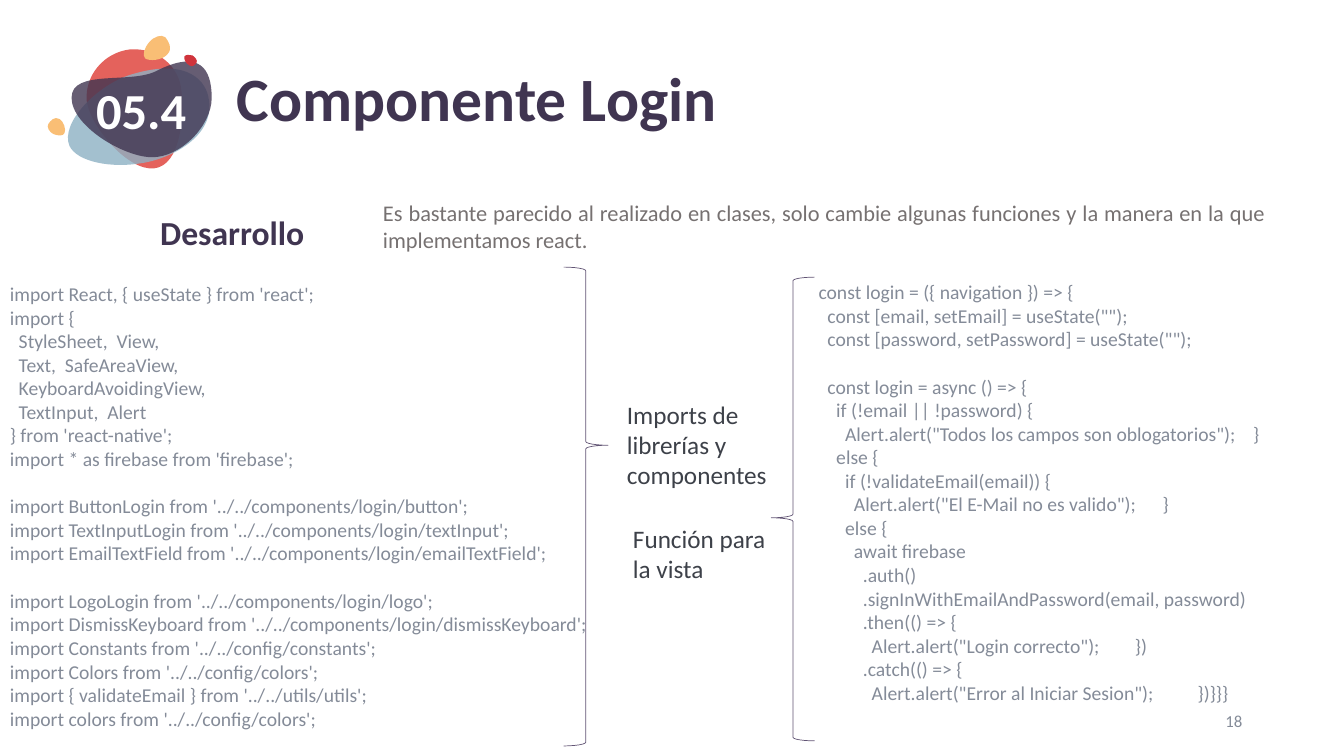
from dataclasses import dataclass

from lxml.etree import SubElement
from pptx import Presentation
from pptx.dml.color import RGBColor
from pptx.enum.shapes import MSO_SHAPE
from pptx.enum.text import MSO_ANCHOR, MSO_AUTO_SIZE, PP_ALIGN
from pptx.oxml.ns import qn
from pptx.util import Inches, Pt


@dataclass(frozen=True)
class Theme:
    font: str = "Calibri"
    plum: str = "403551"
    coral: str = "E4625C"
    sky: str = "8DB1C4"
    amber: str = "F9BE75"
    red: str = "D0343C"
    white: str = "FFFFFF"
    code: str = "848B98"
    label: str = "3D4149"
    summary: str = "767171"
    brace: str = "615474"
    title_size: int = 44
    badge_size: int = 36
    heading_size: int = 24
    label_size: int = 18
    summary_size: int = 16
    code_size: int = 14
    page_size: int = 12


THEME = Theme()


def write(shape, lines, size, color, bold=False, align=PP_ALIGN.LEFT, anchor=MSO_ANCHOR.TOP):
    """Fill a shape with one paragraph per line; an empty line becomes space before the next."""
    frame = shape.text_frame
    frame.word_wrap = True
    frame.auto_size = MSO_AUTO_SIZE.NONE
    frame.vertical_anchor = anchor
    paragraph, gap = frame.paragraphs[0], 0
    for number, line in enumerate(lines):
        if not line:
            gap = size * 1.22
            continue
        if number:
            paragraph = frame.add_paragraph()
        paragraph.text = line
        paragraph.alignment = align
        paragraph.space_before, gap = Pt(gap), 0
        paragraph.font.name = THEME.font
        paragraph.font.size = Pt(size)
        paragraph.font.bold = bold
        paragraph.font.color.rgb = RGBColor.from_string(color)
    return frame


def draw_blob(shapes, box, start, curves, color, opacity=100):
    """Draw a closed outline of cubic curves, each given as two handles and an end point."""
    left, top, width, height = map(Inches, box)
    builder = shapes.build_freeform(left, top)
    builder.add_line_segments([(left + width, top), (left + width, top + height)])
    blob = builder.convert_to_shape()
    blob.shadow.inherit = False
    blob.line.fill.background()
    blob.fill.solid()
    blob.fill.fore_color.rgb = RGBColor.from_string(color)
    properties = blob.element.spPr
    if opacity < 100:
        paint = properties.find(qn("a:solidFill"))[0]
        SubElement(paint, qn("a:alpha")).set("val", str(opacity * 1000))
    # Trade the straight outline for curves inside the same box
    outline = properties.find(".//" + qn("a:path"))
    for segment in list(outline):
        outline.remove(segment)
    for command, numbers in [("a:moveTo", start)] + [("a:cubicBezTo", c) for c in curves]:
        segment = SubElement(outline, qn(command))
        for x, y in zip(numbers[::2], numbers[1::2]):
            point = SubElement(segment, qn("a:pt"))
            point.set("x", str(Inches(x) - left))
            point.set("y", str(Inches(y) - top))
    SubElement(outline, qn("a:close"))
    return blob


presentation = Presentation()
presentation.slide_width, presentation.slide_height = Inches(13.33), Inches(7.5)
slide = presentation.slides.add_slide(presentation.slide_layouts[5])
shapes = slide.shapes

# Section badge
draw_blob(shapes, (0.86, 0.49, 0.95, 1.18), (0.86, 1), [
    (0.89, 1.25, 1.27, 1.7, 1.53, 1.67), (1.79, 1.64, 1.83, 1.16, 1.8, 0.9),
    (1.78, 0.65, 1.55, 0.47, 1.29, 0.49), (1.03, 0.52, 0.84, 0.75, 0.86, 1)], THEME.coral)
draw_blob(shapes, (0.67, 0.68, 1.41, 0.96), (0.69, 1.45), [
    (0.77, 1.61, 1.11, 1.67, 1.4, 1.62), (1.68, 1.58, 2.14, 1.36, 2.07, 0.98),
    (2.05, 0.83, 1.89, 0.56, 1.3, 0.74), (0.97, 0.84, 0.59, 1.22, 0.69, 1.45)], THEME.sky, 80)
badge = draw_blob(shapes, (0.71, 0.61, 1.38, 0.95), (0.71, 0.97), [
    (0.71, 1.25, 1.23, 1.56, 1.51, 1.56), (1.79, 1.56, 2.1, 1.25, 2.1, 0.97),
    (2.1, 0.68, 1.98, 0.49, 1.56, 0.7), (1.31, 0.84, 0.71, 0.68, 0.71, 0.97)], THEME.plum, 80)
draw_blob(shapes, (1.43, 0.36, 0.26, 0.23), (1.44, 0.58), [
    (1.48, 0.61, 1.61, 0.6, 1.66, 0.54), (1.72, 0.48, 1.67, 0.41, 1.64, 0.37),
    (1.6, 0.34, 1.53, 0.36, 1.48, 0.42), (1.43, 0.48, 1.41, 0.55, 1.44, 0.58)], THEME.amber)
draw_blob(shapes, (0.48, 1.17, 0.17, 0.18), (0.64, 1.32), [
    (0.66, 1.29, 0.63, 1.2, 0.59, 1.18), (0.54, 1.15, 0.5, 1.2, 0.48, 1.23),
    (0.46, 1.26, 0.49, 1.31, 0.53, 1.33), (0.58, 1.35, 0.63, 1.35, 0.64, 1.32)], THEME.amber)
draw_blob(shapes, (1.83, 0.54, 0.12, 0.11), (1.83, 0.56), [
    (1.82, 0.58, 1.84, 0.63, 1.88, 0.65), (1.91, 0.67, 1.94, 0.64, 1.95, 0.62),
    (1.96, 0.6, 1.94, 0.57, 1.91, 0.55), (1.88, 0.54, 1.84, 0.54, 1.83, 0.56)], THEME.red)
badge_frame = write(badge, ["05.4"], THEME.badge_size, THEME.white, True,
                    PP_ALIGN.CENTER, MSO_ANCHOR.MIDDLE)
badge_frame.margin_left = badge_frame.margin_right = Inches(0.04)
badge_frame.margin_top = badge_frame.margin_bottom = Inches(0.04)

# Title
title = shapes.title
title.left, title.top, title.width, title.height = map(Inches, (2.25, 0.39, 10, 1.24))
title_frame = write(title, ["Componente Login"], THEME.title_size, THEME.plum, True,
                    anchor=MSO_ANCHOR.MIDDLE)
title_frame.paragraphs[0].line_spacing = 0.9

# Heading, summary and page number
heading = shapes.add_textbox(Inches(1.49), Inches(1.89), Inches(3.26), Inches(0.61))
heading_frame = write(heading, ["Desarrollo"], THEME.heading_size, THEME.plum, True,
                      anchor=MSO_ANCHOR.BOTTOM)
heading_frame.margin_top, heading_frame.margin_bottom = Inches(0.2), 0
summary = shapes.add_textbox(Inches(3.7), Inches(1.93), Inches(8.95), Inches(0.64))
write(summary, ["Es bastante parecido al realizado en clases, solo cambie algunas funciones "
                "y la manera en la que implementamos react."],
      THEME.summary_size, THEME.summary, align=PP_ALIGN.JUSTIFY)
page_number = shapes.add_textbox(Inches(9.42), Inches(6.95), Inches(3), Inches(0.4))
write(page_number, ["18"], THEME.page_size, THEME.code, align=PP_ALIGN.RIGHT,
      anchor=MSO_ANCHOR.MIDDLE)

# Code listings
imports_code = """import React, { useState } from 'react';
import {
  StyleSheet,  View,
  Text,  SafeAreaView,
  KeyboardAvoidingView,
  TextInput,  Alert
} from 'react-native';
import * as firebase from 'firebase';

import ButtonLogin from '../../components/login/button';
import TextInputLogin from '../../components/login/textInput';
import EmailTextField from '../../components/login/emailTextField';

import LogoLogin from '../../components/login/logo';
import DismissKeyboard from '../../components/login/dismissKeyboard';
import Constants from '../../config/constants';
import Colors from '../../config/colors';
import { validateEmail } from '../../utils/utils';
import colors from '../../config/colors';"""
login_code = """const login = ({ navigation }) => {
  const [email, setEmail] = useState("");
  const [password, setPassword] = useState("");

  const login = async () => {
    if (!email || !password) {
      Alert.alert("Todos los campos son oblogatorios");    }
    else {
      if (!validateEmail(email)) {
        Alert.alert("El E-Mail no es valido");      }
      else {
        await firebase
          .auth()
          .signInWithEmailAndPassword(email, password)
          .then(() => {
            Alert.alert("Login correcto");        })
          .catch(() => {
            Alert.alert("Error al Iniciar Sesion");          })}}}"""
for code, left, top, width in ((imports_code, 0, 2.75, 6.66), (login_code, 8.02, 2.73, 6.67)):
    listing = shapes.add_textbox(Inches(left), Inches(top), Inches(width), Inches(4.58))
    write(listing, code.split("\n"), THEME.code_size, THEME.code)

# Braces that tie each listing to its label
for kind, left, top, width, height, tip in (
        (MSO_SHAPE.RIGHT_BRACE, 5.59, 2.65, 0.44, 4.75, 0.372),
        (MSO_SHAPE.LEFT_BRACE, 7.65, 2.75, 0.43, 4.6, 0.519)):
    brace = shapes.add_shape(kind, Inches(left), Inches(top), Inches(width), Inches(height))
    brace.adjustments[0], brace.adjustments[1] = 0.083, tip
    brace.shadow.inherit = False
    brace.fill.background()
    brace.line.color.rgb = RGBColor.from_string(THEME.brace)
    brace.line.width = Pt(0.5)

# Labels
for text, left, top, width, height in (
        ("Imports de librerías y componentes", 6.12, 3.91, 1.64, 1.01),
        ("Función para la vista", 6.18, 5.14, 1.54, 0.71)):
    label = shapes.add_textbox(Inches(left), Inches(top), Inches(width), Inches(height))
    write(label, [text], THEME.label_size, THEME.label)

presentation.save("out.pptx")
